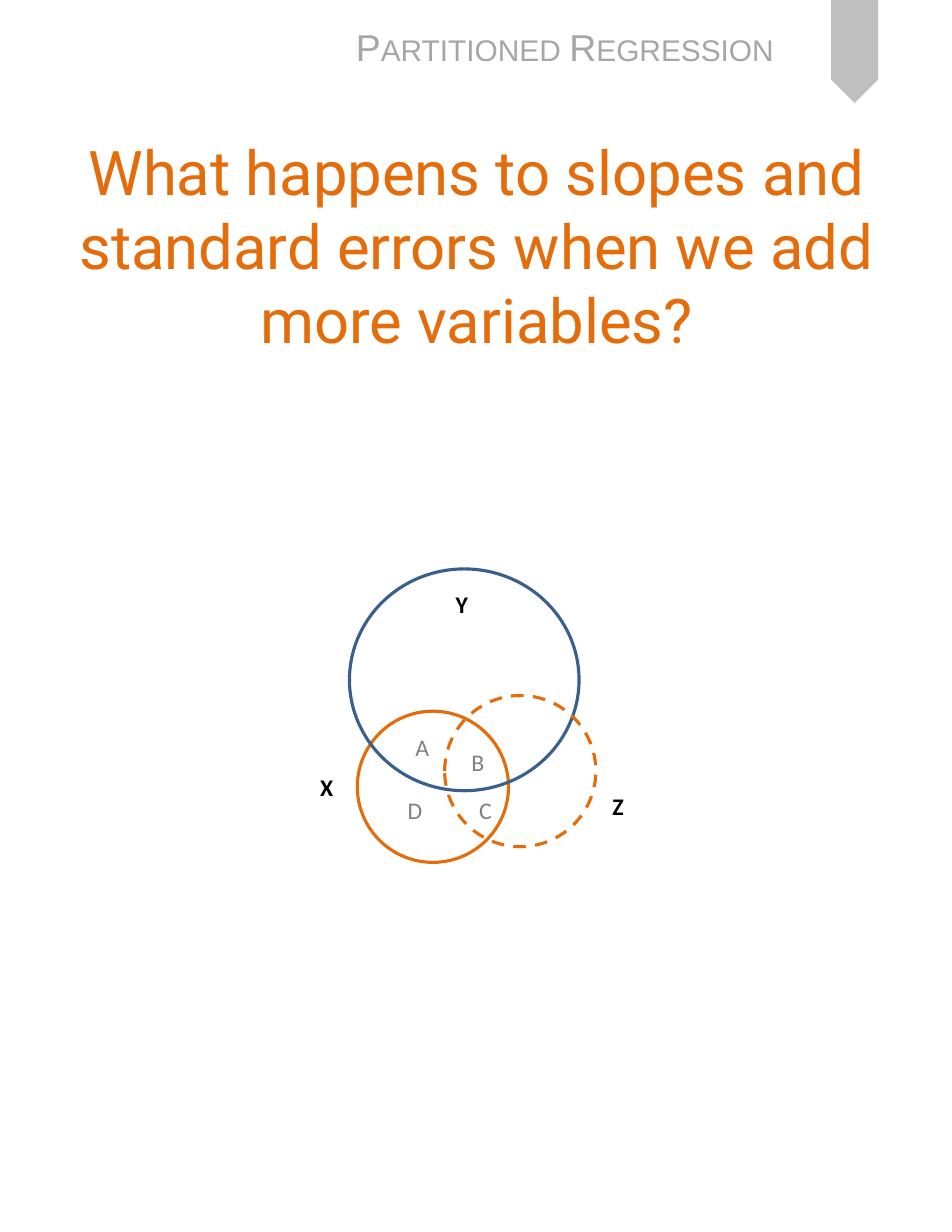
from dataclasses import dataclass
from typing import Optional

from pptx import Presentation
from pptx.dml.color import RGBColor
from pptx.enum.dml import MSO_LINE
from pptx.enum.shapes import MSO_SHAPE
from pptx.enum.text import MSO_ANCHOR, MSO_AUTO_SIZE, PP_ALIGN
from pptx.util import Inches, Pt

COLORS = {
    "orange": "E46C0A",
    "blue": "3A5F8C",
    "ribbon": "BFBFBF",
    "header": "A6A6A6",
    "region": "808080",
    "variable": "000000",
}
LABEL_HEIGHT = 0.36


@dataclass
class Circle:
    left: float
    top: float
    width: float
    height: float
    color: str
    dash: Optional[MSO_LINE] = None


@dataclass
class Text:
    text: str
    left: float
    top: float
    width: float
    height: float
    size: float
    color: str
    font: str = "Calibri"
    bold: bool = False
    wrap: bool = False
    small_caps: bool = False
    align: PP_ALIGN = PP_ALIGN.LEFT
    anchor: MSO_ANCHOR = MSO_ANCHOR.TOP


def rgb(name: str) -> RGBColor:
    return RGBColor.from_string(COLORS[name])


def variable_label(text: str, left: float, top: float) -> Text:
    return Text(text, left, top, 0.32, LABEL_HEIGHT, 15.3, "variable", bold=True)


def region_label(text: str, left: float, top: float) -> Text:
    return Text(text, left, top, 0.32, LABEL_HEIGHT, 15.3, "region")


def add_ribbon(slide) -> None:
    shape = slide.shapes.add_shape(
        MSO_SHAPE.PENTAGON, Inches(7.17), Inches(0.25), Inches(0.92), Inches(0.42)
    )
    shape.rotation = 90
    shape.shadow.inherit = False
    shape.fill.solid()
    shape.fill.fore_color.rgb = rgb("ribbon")
    shape.line.fill.background()


def add_circle(slide, circle: Circle) -> None:
    shape = slide.shapes.add_shape(
        MSO_SHAPE.OVAL, Inches(circle.left), Inches(circle.top),
        Inches(circle.width), Inches(circle.height),
    )
    shape.shadow.inherit = False
    shape.fill.background()
    shape.line.color.rgb = rgb(circle.color)
    shape.line.width = Pt(2)
    if circle.dash is not None:
        shape.line.dash_style = circle.dash


def add_text(slide, item: Text) -> None:
    box = slide.shapes.add_textbox(
        Inches(item.left), Inches(item.top), Inches(item.width), Inches(item.height)
    )
    frame = box.text_frame
    frame.word_wrap = item.wrap
    frame.auto_size = MSO_AUTO_SIZE.NONE if item.wrap else MSO_AUTO_SIZE.SHAPE_TO_FIT_TEXT
    frame.vertical_anchor = item.anchor
    paragraph = frame.paragraphs[0]
    paragraph.alignment = item.align
    run = paragraph.add_run()
    run.text = item.text
    if item.small_caps:
        run._r.get_or_add_rPr().set("cap", "small")
    paragraph.font.name = item.font
    paragraph.font.size = Pt(item.size)
    paragraph.font.bold = item.bold
    paragraph.font.color.rgb = rgb(item.color)


HEADINGS = [
    Text("Partitioned Regression", 3.08, 0.17, 3.96, 0.5, 24, "header",
         font="Arial", small_caps=True),
    Text("What happens to slopes and standard errors when we add more variables?",
         0.43, 1.27, 7.65, 1.83, 39.6, "orange", font="Roboto", wrap=True,
         align=PP_ALIGN.CENTER, anchor=MSO_ANCHOR.MIDDLE),
]
X_CIRCLE = Circle(3.19, 6.35, 1.35, 1.35, "orange")
Y_CIRCLE = Circle(3.12, 5.08, 2.05, 1.98, "blue")
Z_CIRCLE = Circle(3.97, 6.21, 1.35, 1.35, "orange", MSO_LINE.DASH)
LABELS = [
    variable_label("Y", 3.97, 5.22),
    variable_label("Z", 5.37, 7.02),
    variable_label("X", 2.76, 6.85),
    region_label("A", 3.61, 6.49),
    region_label("B", 4.11, 6.63),
    region_label("C", 4.18, 7.06),
    region_label("D", 3.54, 7.06),
]


def main() -> None:
    presentation = Presentation()
    presentation.slide_width = Inches(8.5)
    presentation.slide_height = Inches(11)
    slide = presentation.slides.add_slide(presentation.slide_layouts[6])
    add_ribbon(slide)
    for heading in HEADINGS:
        add_text(slide, heading)
    for circle in (X_CIRCLE, Y_CIRCLE):
        add_circle(slide, circle)
    for label in LABELS:
        add_text(slide, label)
    add_circle(slide, Z_CIRCLE)
    presentation.save("out.pptx")


if __name__ == "__main__":
    main()
